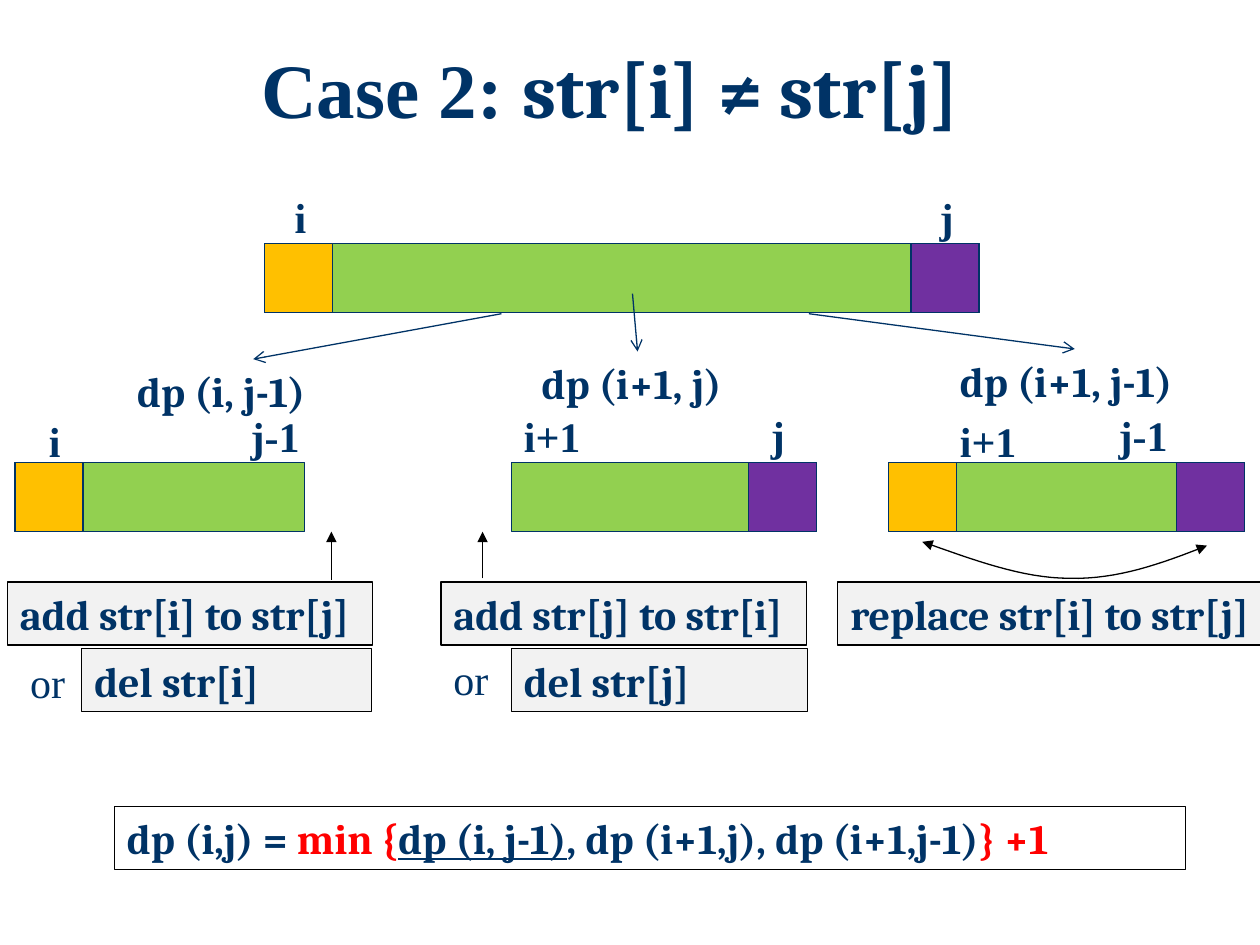
from lxml import etree
from pptx import Presentation
from pptx.dml.color import RGBColor
from pptx.enum.shapes import MSO_CONNECTOR, MSO_SHAPE
from pptx.enum.text import MSO_ANCHOR, MSO_AUTO_SIZE, PP_ALIGN
from pptx.oxml.ns import qn
from pptx.util import Inches, Pt

RECT, STRAIGHT = MSO_SHAPE.RECTANGLE, MSO_CONNECTOR.STRAIGHT
TOP = MSO_ANCHOR.TOP
LEFT, CENTER = PP_ALIGN.LEFT, PP_ALIGN.CENTER
GROW, FIXED = MSO_AUTO_SIZE.SHAPE_TO_FIT_TEXT, MSO_AUTO_SIZE.NONE

NAVY, RED, BLACK, WHITE, GRAY = "003366", "FF0000", "000000", "FFFFFF", "F2F2F2"
GREEN, GOLD, PURPLE = "92D050", "FFC000", "7030A0"
SERIF, MATH = "Times New Roman", "Cambria"
WIDTH, HEIGHT = 10, 7.5
CELL, BAR_H, TEXT_H = 0.54, 0.55, 0.5
MAIN_ROW, SUB_ROW, EDIT_ROW, DELETE_ROW, RESULT_ROW = 1.93, 3.67, 4.62, 5.15, 6.4
COLS = 0.12, 4.06, 7.05

TITLE = [("Case 2: ", SERIF, NAVY, True, False),
         ("str[i] ≠ str[j] ", MATH, NAVY, True, False)]
BARS = [
    (2.1, MAIN_ROW, 5.67, GOLD, PURPLE),
    (COLS[0], SUB_ROW, 2.3, GOLD, None),
    (COLS[1], SUB_ROW, 2.42, None, PURPLE),
    (COLS[2], SUB_ROW, 2.83, GOLD, PURPLE),
]
LABELS = [
    ("i", 2.24, 1.47, 0.29, SERIF, True),
    ("j", 7.36, 1.47, 0.31, SERIF, True),
    ("dp (i, j-1)", 0.99, 2.85, 1.63, MATH, True),
    ("dp (i+1, j)", 4.2, 2.79, 1.71, MATH, True),
    ("dp (i+1, j-1)", 7.52, 2.77, 2.03, MATH, True),
    ("i", 0.29, 3.25, 0.29, SERIF, True),
    ("j-1", 1.89, 3.21, 0.59, SERIF, True),
    ("i+1", COLS[1], 3.21, 0.65, SERIF, True),
    ("j", 6.02, 3.2, 0.31, SERIF, True),
    ("i+1", 7.52, 3.25, 0.65, SERIF, True),
    ("j-1", 8.78, 3.2, 0.59, SERIF, True),
    ("or", 0.14, 5.16, 0.48, SERIF, False),
    ("or", 3.5, 5.14, 0.48, SERIF, False),
]
BOXES = [
    ("add str[i] to str[j]", 0.06, EDIT_ROW, 2.9, False),
    ("add str[j] to str[i]", 3.5, EDIT_ROW, 2.9, False),
    ("replace str[i] to str[j]", 6.65, EDIT_ROW, 3.46, False),
    ("del str[i]", 0.65, DELETE_ROW, 2.3, True),
    ("del str[j]", COLS[1], DELETE_ROW, 2.35, True),
]
RESULT = [
    ("dp (i,j) = ", MATH, NAVY, True, False),
    ("min {", MATH, RED, True, False),
    ("dp (i, j-1)", MATH, NAVY, True, True),
    (", dp (i+1,j), dp (i+1,j-1)", MATH, NAVY, True, False),
    ("} +1", MATH, RED, True, False),
]
ARROWS = [
    ((3.98, 2.49), (2.01, 2.85), NAVY, "arrow"),
    ((5.02, 2.33), (5.06, 2.79), NAVY, "arrow"),
    ((6.42, 2.49), (8.53, 2.77), NAVY, "arrow"),
    ((2.63, 4.6), (2.63, 4.22), BLACK, "triangle"),
    ((3.83, 4.59), (3.83, 4.22), BLACK, "triangle"),
]
SWAP_CURVE = [
    ((7.32, 4.3), (7.72, 4.44), (8.11, 4.59), (8.49, 4.59)),
    ((8.49, 4.59), (8.87, 4.6), (9.23, 4.47), (9.58, 4.33)),
]
STEPS = 16


def color(value):
    return RGBColor.from_string(value)


def place(sp, x, y, w, h):
    sp.left, sp.top, sp.width, sp.height = map(Inches, (x, y, w, h))


def stroke(sp, value):
    sp.line.color.rgb = color(value)
    sp.line.width = Pt(0.75)


def add_arrowheads(sp, **ends):
    ln = sp.line._get_or_add_ln()
    for end, kind in ends.items():
        etree.SubElement(ln, qn(f"a:{end}"), type=kind)


def write(sp, runs, size=24, align=LEFT, wrap=False, fit=GROW):
    tf = sp.text_frame
    tf.word_wrap, tf.auto_size, tf.vertical_anchor = wrap, fit, TOP
    p = tf.paragraphs[0]
    p.alignment = align
    for text, face, value, bold, underline in runs:
        r = p.add_run()
        r.text = text
        r.font.name, r.font.size = face, Pt(size)
        r.font.bold, r.font.underline = bold, underline
        r.font.color.rgb = color(value)
    return p


def add_rect(s, x, y, w, h, fill, line):
    sp = s.shapes.add_shape(RECT, *map(Inches, (x, y, w, h)))
    sp.shadow.inherit = False
    sp.fill.solid()
    sp.fill.fore_color.rgb = color(fill)
    stroke(sp, line)
    return sp


def add_bar(s, x, y, w, first, last):
    add_rect(s, x, y, w, BAR_H, GREEN, NAVY)
    for left, fill in ((x, first), (x + w - CELL, last)):
        if fill:
            add_rect(s, left, y, CELL, BAR_H, fill, NAVY)


def add_arrow(s, start, end, value, kind):
    sp = s.shapes.add_connector(STRAIGHT, *map(Inches, start + end))
    stroke(sp, value)
    add_arrowheads(sp, tailEnd=kind)
    etree.SubElement(sp._element.spPr, qn("a:effectLst"))


def bezier(points, t):
    weights = (1 - t) ** 3, 3 * t * (1 - t) ** 2, 3 * t * t * (1 - t), t ** 3
    return tuple(Inches(sum(k * v for k, v in zip(weights, axis)))
                 for axis in zip(*points))


def add_curve(s, segments):
    points = [bezier(seg, n / STEPS) for seg in segments for n in range(1, STEPS + 1)]
    builder = s.shapes.build_freeform(*map(Inches, segments[0][0]))
    builder.add_line_segments(points, close=False)
    sp = builder.convert_to_shape()
    sp.shadow.inherit = False
    sp.fill.background()
    stroke(sp, BLACK)
    add_arrowheads(sp, headEnd="triangle", tailEnd="triangle")


def main():
    prs = Presentation()
    prs.slide_width, prs.slide_height = Inches(WIDTH), Inches(HEIGHT)
    s = prs.slides.add_slide(prs.slide_layouts[5])
    place(s.shapes.title, 0.91, 0.36, 8, 0.92)
    p = write(s.shapes.title, TITLE, 44, CENTER, True, FIXED)
    p.line_spacing = 0.9
    for bar in BARS:
        add_bar(s, *bar)
    for text, x, y, w, face, bold in LABELS:
        sp = s.shapes.add_textbox(*map(Inches, (x, y, w, TEXT_H)))
        write(sp, [(text, face, NAVY, bold, False)])
    for text, x, y, w, wrap in BOXES:
        sp = add_rect(s, x, y, w, TEXT_H, GRAY, BLACK)
        write(sp, [(text, MATH, NAVY, True, False)], wrap=wrap)
    sp = add_rect(s, 0.91, RESULT_ROW, 8.5, TEXT_H, WHITE, BLACK)
    write(sp, RESULT, wrap=True)
    for arrow in ARROWS:
        add_arrow(s, *arrow)
    add_curve(s, SWAP_CURVE)
    prs.save("out.pptx")


if __name__ == "__main__":
    main()
